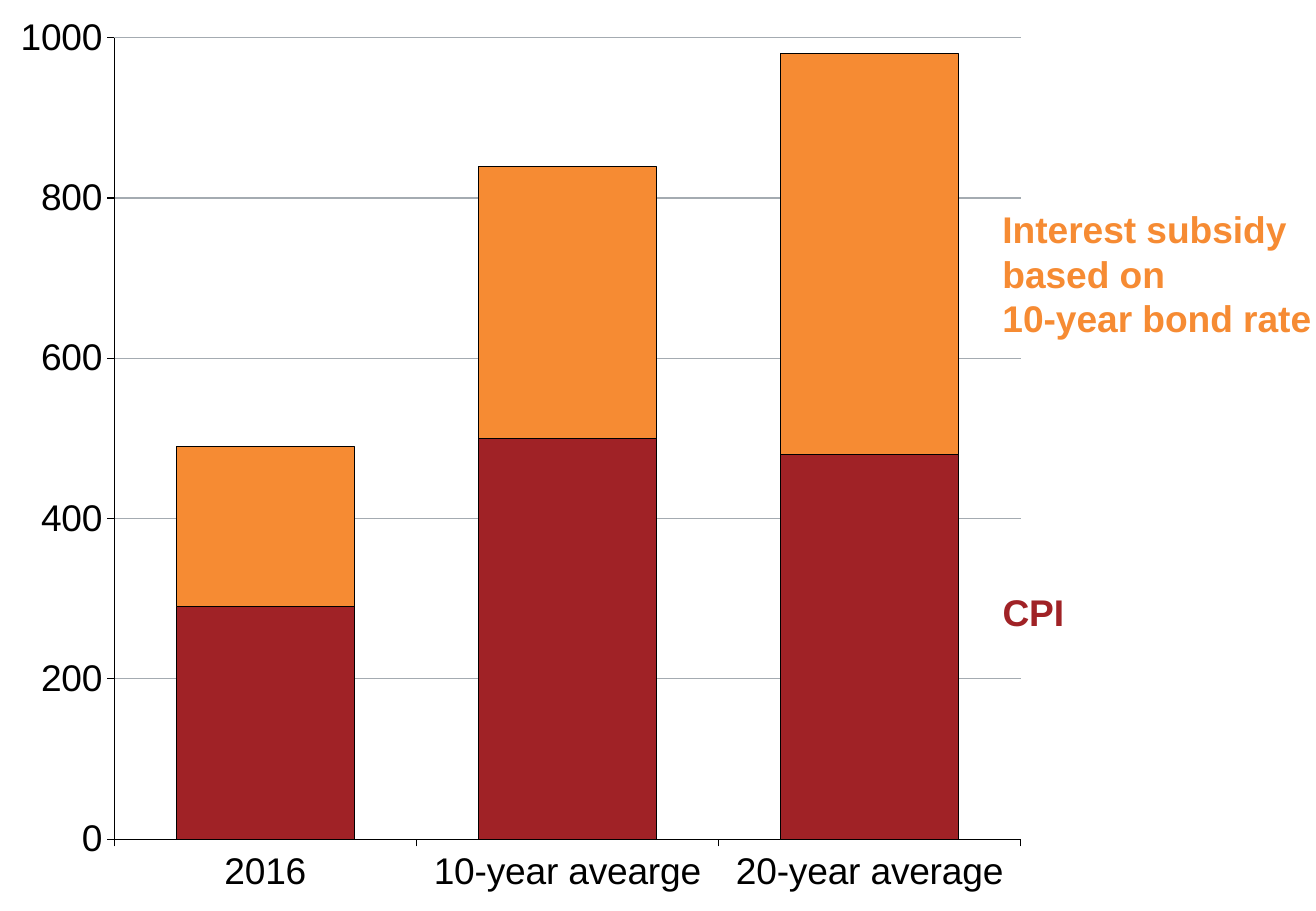
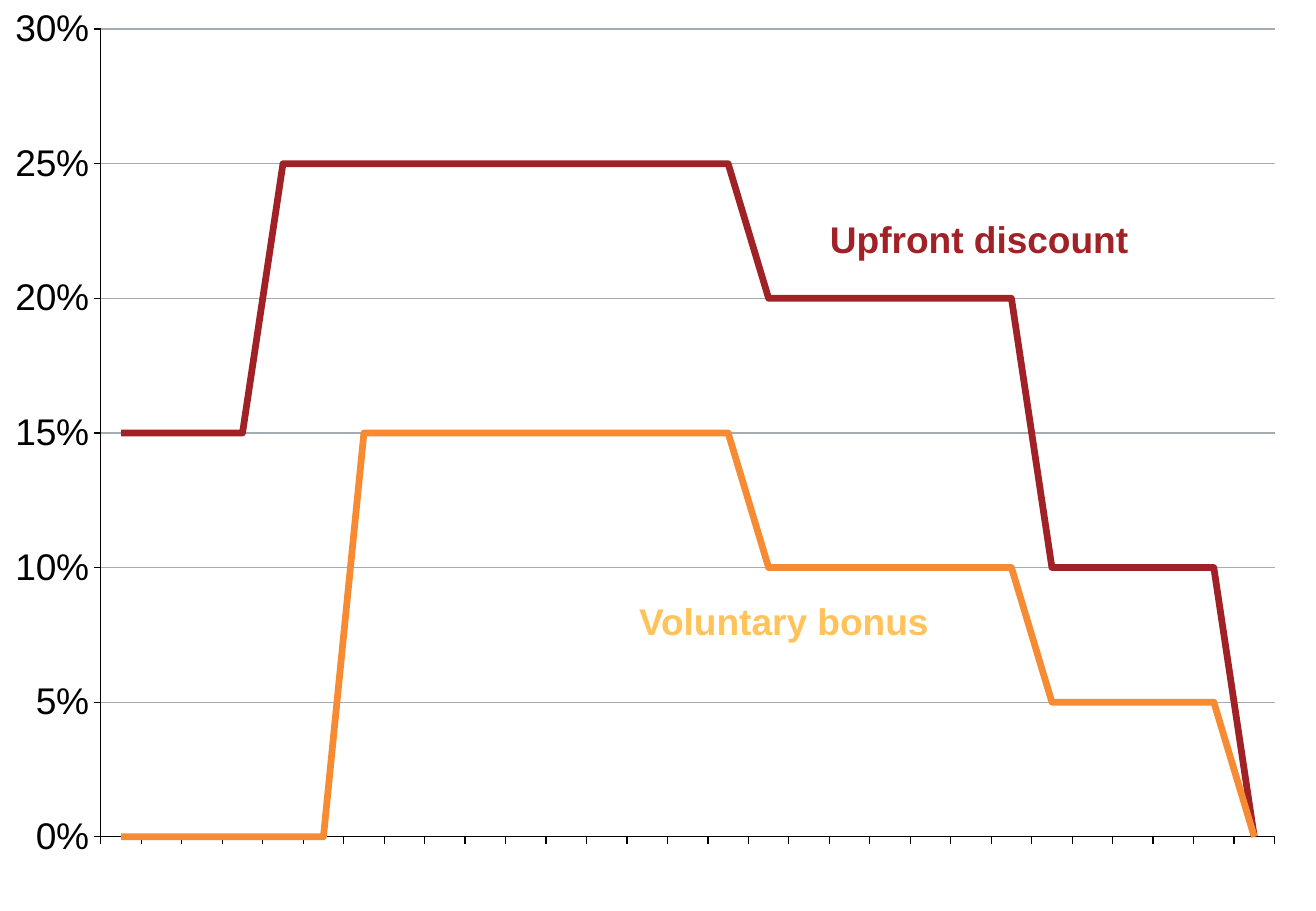
from dataclasses import dataclass

from lxml import etree
from pptx import Presentation
from pptx.chart.data import CategoryChartData
from pptx.dml.color import RGBColor
from pptx.enum import chart as ch, text as tx
from pptx.oxml import ns
from pptx.util import Inches, Pt

RED = RGBColor(0xA0, 0x22, 0x26)
ORANGE = RGBColor(0xF6, 0x8B, 0x33)
YELLOW = RGBColor(0xFF, 0xC3, 0x5A)
BLACK = RGBColor(0, 0, 0)
GREY = RGBColor(0xA4, 0xAB, 0xB1)
FONT = "Arial"
WIDE, HIGH = 10.83, 7.5
SIZE = 22


@dataclass(frozen=True)
class Series:
    name: str
    color: RGBColor
    vals: list[float]


@dataclass(frozen=True)
class Label:
    lines: list[str]
    color: RGBColor
    left: float
    top: float
    width: float
    height: float = 0.37


@dataclass(frozen=True)
class Plot:
    left: float
    top: float
    width: float
    height: float


@dataclass(frozen=True)
class Graph:
    kind: ch.XL_CHART_TYPE
    width: float
    cats: list[str]
    series: list[Series]
    top: float
    step: float
    format: str
    plot: Plot
    labels: list[Label]


def steps(*runs: tuple[float, int]) -> list[float]:
    return [val for val, count in runs for _ in range(count)]


GRAPHS = [
    Graph(
        ch.XL_CHART_TYPE.COLUMN_STACKED, 8.57,
        ["2016", "10-year avearge", "20-year average"],
        [Series("CPI", RED, [290, 500, 480]),
         Series("Interest subsidy", ORANGE, [200, 340, 500])],
        1000, 200, "General", Plot(0.94, 0.31, 7.46, 6.6),
        [Label(["Interest subsidy", "based on", "10-year bond rate"],
               ORANGE, 8.25, 1.7, 2.57, 1.11),
         Label(["CPI"], RED, 8.25, 4.85, 0.51)],
    ),
    Graph(
        ch.XL_CHART_TYPE.LINE, WIDE, [""] * 29,
        [Series("Upfront discount", RED,
                steps((0.15, 4), (0.25, 12), (0.2, 7), (0.1, 5), (0, 1))),
         Series("Voluntary bonus", ORANGE,
                steps((0, 6), (0.15, 10), (0.1, 7), (0.05, 5), (0, 1)))],
        0.3, 0.05, "0%", Plot(0.83, 0.24, 9.66, 6.65),
        [Label(["Upfront discount"], RED, 6.83, 1.78, 2.49),
         Label(["Voluntary bonus"], YELLOW, 5.26, 4.93, 2.43)],
    ),
]


def style(font, *, size: float = SIZE, color: RGBColor = BLACK,
          bold: bool = False) -> None:
    font.name = FONT
    font.size = Pt(size)
    font.bold = bold
    font.color.rgb = color


def stroke(line, color: RGBColor, width: float) -> None:
    line.color.rgb = color
    line.width = Pt(width)


def write(slide, label: Label, *, size: float = SIZE, bold: bool = True) -> None:
    box = slide.shapes.add_textbox(
        Inches(label.left), Inches(label.top),
        Inches(label.width), Inches(label.height))
    frame = box.text_frame
    frame.margin_left = frame.margin_right = 0
    frame.margin_top = frame.margin_bottom = 0
    frame.word_wrap = False
    frame.auto_size = tx.MSO_AUTO_SIZE.SHAPE_TO_FIT_TEXT
    frame.text = "\n".join(label.lines)
    for para in frame.paragraphs:
        style(para.runs[0].font, size=size, color=label.color, bold=bold)


def place(chart, plot: Plot, width: float) -> None:
    area = chart.element.find(".//" + ns.qn("c:plotArea"))
    for old in area.findall(ns.qn("c:layout")):
        area.remove(old)
    layout = etree.Element(ns.qn("c:layout"))
    inner = etree.SubElement(layout, ns.qn("c:manualLayout"))
    pairs = [("layoutTarget", "inner"), ("xMode", "edge"), ("yMode", "edge"),
             ("x", plot.left / width), ("y", plot.top / HIGH),
             ("w", plot.width / width), ("h", plot.height / HIGH)]
    for tag, val in pairs:
        etree.SubElement(inner, ns.qn("c:" + tag)).set("val", str(val))
    area.insert(0, layout)


def draw(slide, graph: Graph) -> None:
    data = CategoryChartData(number_format=graph.format)
    data.categories = graph.cats
    for item in graph.series:
        data.add_series(item.name, item.vals)
    chart = slide.shapes.add_chart(
        graph.kind, 0, 0, Inches(graph.width), Inches(HIGH), data).chart
    chart.has_legend = chart.has_title = False
    style(chart.font, size=18)
    place(chart, graph.plot, graph.width)

    for axis in (chart.category_axis, chart.value_axis):
        style(axis.tick_labels.font)
        stroke(axis.format.line, BLACK, 0.75)
        axis.major_tick_mark = ch.XL_TICK_MARK.OUTSIDE
        axis.minor_tick_mark = ch.XL_TICK_MARK.NONE
    if not any(graph.cats):
        chart.category_axis.tick_label_position = ch.XL_TICK_LABEL_POSITION.NONE
    axis = chart.value_axis
    axis.minimum_scale, axis.maximum_scale = 0, graph.top
    axis.major_unit = graph.step
    axis.tick_labels.number_format = graph.format
    axis.tick_labels.number_format_is_linked = False
    axis.has_major_gridlines = True
    stroke(axis.major_gridlines.format.line, GREY, 0.75)

    plot = chart.plots[0]
    plot.vary_by_categories = False
    bars = graph.kind == ch.XL_CHART_TYPE.COLUMN_STACKED
    if bars:
        plot.gap_width, plot.overlap = 70, 100
    for item, shown in zip(graph.series, plot.series):
        if bars:
            shown.format.fill.solid()
            shown.format.fill.fore_color.rgb = item.color
            stroke(shown.format.line, BLACK, 0.25)
        else:
            shown.smooth = False
            shown.marker.style = ch.XL_MARKER_STYLE.NONE
            stroke(shown.format.line, item.color, 4)


def main() -> None:
    deck = Presentation()
    deck.slide_width, deck.slide_height = Inches(WIDE), Inches(HIGH)
    for graph in GRAPHS:
        slide = deck.slides.add_slide(deck.slide_layouts[6])
        draw(slide, graph)
        for label in graph.labels:
            write(slide, label)
    deck.save("out.pptx")


if __name__ == "__main__":
    main()
